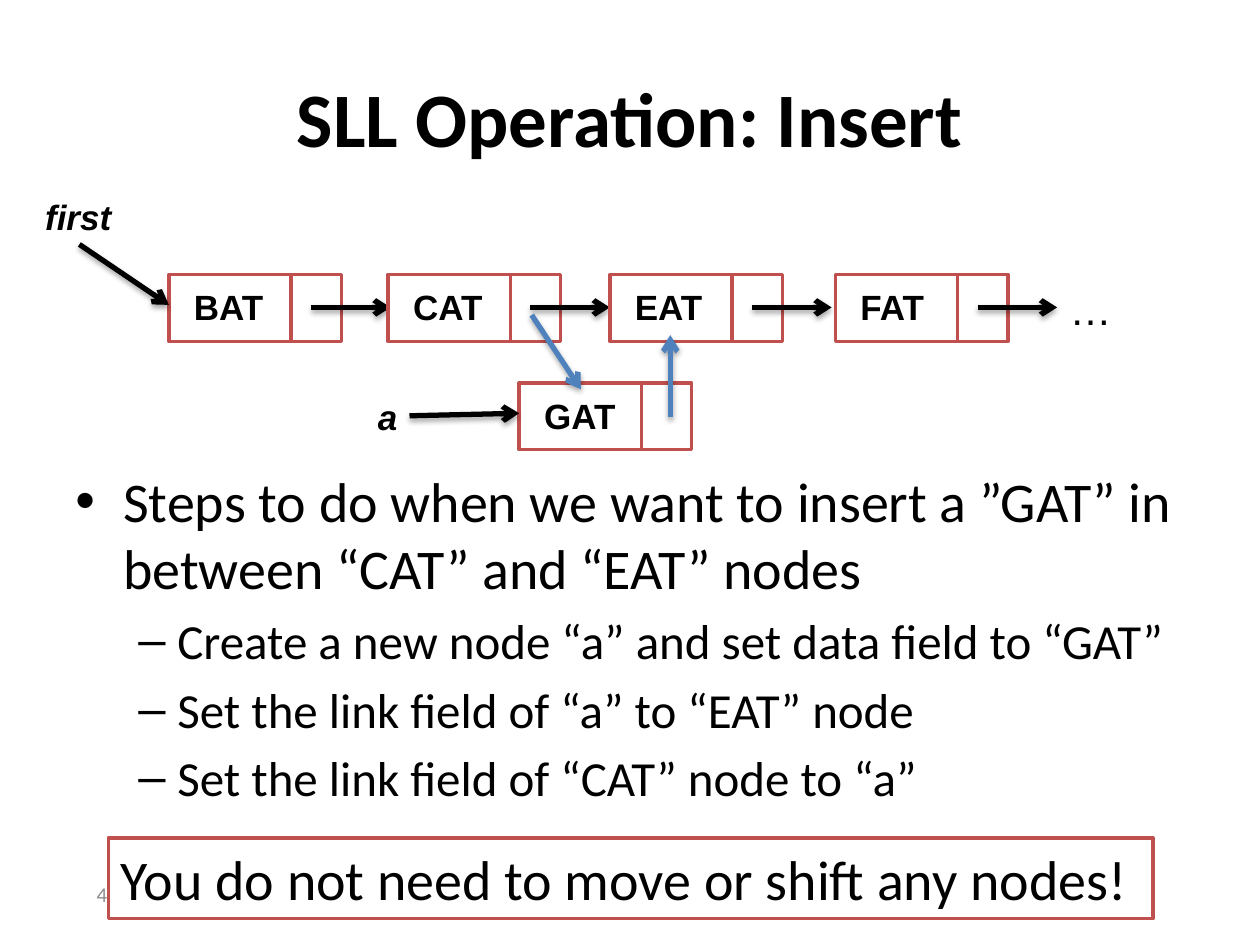
from lxml import etree
from pptx import Presentation
from pptx.dml.color import RGBColor
from pptx.enum.shapes import MSO_CONNECTOR, MSO_SHAPE
from pptx.enum.text import MSO_ANCHOR, PP_ALIGN
from pptx.oxml.ns import qn
from pptx.util import Pt

PX = 9144
BLACK = RGBColor(0x00, 0x00, 0x00)
WHITE = RGBColor(0xFF, 0xFF, 0xFF)
RED = RGBColor(0xC0, 0x50, 0x4D)
BLUE = RGBColor(0x4F, 0x81, 0xBD)
GRAY = RGBColor(0x8C, 0x8C, 0x8C)
LEFT, CENTER, RIGHT = PP_ALIGN.LEFT, PP_ALIGN.CENTER, PP_ALIGN.RIGHT
TOP, MIDDLE = MSO_ANCHOR.TOP, MSO_ANCHOR.MIDDLE
RECT = MSO_SHAPE.RECTANGLE
STRAIGHT = MSO_CONNECTOR.STRAIGHT

TITLE = "SLL Operation: Insert"
NODE_W, NODE_H, DATA_W = 137, 53, 97
LIST_Y = 218
NODES = [
    ("BAT", 134, LIST_Y, 76),
    ("CAT", 308, LIST_Y, 76),
    ("EAT", 484, LIST_Y, 74),
    ("FAT", 663, LIST_Y, 71),
    ("GAT", 412, 304, 77),
]
LINK_DX, LINK_DY, LINK_LEN = 113, 26, 63
LABELS = [
    ("…", 839, 220, 54, 50, 24, False),
    ("first", 26, 150, 73, 44, 20, True),
    ("a", 290, 309, 36, 44, 20, True),
]
ARROWS = [
    (63, 194, 134, 242, BLACK),
    (325, 330, 412, 328, BLACK),
    (532, 331, 532, 266, BLUE),
    (422, 250, 461, 309, BLUE),
]
BULLETS = [
    (0, "Steps to do when we want to insert a ”GAT” in between “CAT” and “EAT” nodes"),
    (1, "Create a new node “a” and set data field to “GAT”"),
    (1, "Set the link field of “a” to “EAT” node"),
    (1, "Set the link field of “CAT” node to “a”"),
]
LEVELS = [
    {"char": "•", "size": 32, "margin": 38, "hang": 38},
    {"char": "–", "size": 28, "margin": 81, "hang": 31},
]
NOTE = "You do not need to move or shift any nodes!"
PAGE = "4"


def px(*values):
    return [v * PX for v in values]


def add_run(p, text, size, font="Calibri", color=BLACK, bold=False, italic=False):
    r = p.add_run()
    r.text = text
    f = r.font
    f.size, f.name, f.bold, f.italic = Pt(size), font, bold, italic
    f.color.rgb = color


def add_text(slide, box, text, size, align=LEFT, anchor=TOP, wrap=False, **style):
    tf = slide.shapes.add_textbox(*px(*box)).text_frame
    tf.word_wrap = wrap
    tf.vertical_anchor = anchor
    p = tf.paragraphs[0]
    p.alignment = align
    add_run(p, text, size, **style)


def add_box(slide, *box):
    s = slide.shapes.add_shape(RECT, *px(*box))
    s.shadow.inherit = False
    s.fill.solid()
    s.fill.fore_color.rgb = WHITE
    s.line.color.rgb = RED
    s.line.width = Pt(2)
    return s


def add_line(slide, x1, y1, x2, y2, color, width):
    c = slide.shapes.add_connector(STRAIGHT, *px(x1, y1, x2, y2))
    c.line.color.rgb = color
    c.line.width = Pt(width)
    return c, etree.SubElement(c._element.spPr, qn("a:effectLst"))


def add_arrow(slide, x1, y1, x2, y2, color):
    c, effects = add_line(slide, x1, y1, x2, y2, color, 3)
    etree.SubElement(c.line._get_or_add_ln(), qn("a:tailEnd"), type="arrow")
    shadow = etree.SubElement(effects, qn("a:outerShdw"), blurRad="40000",
                              dist="23000", dir="5400000", rotWithShape="0")
    tint = etree.SubElement(shadow, qn("a:srgbClr"), val=str(BLACK))
    etree.SubElement(tint, qn("a:alpha"), val="35000")


def add_node(slide, name, x, y, text_w):
    add_box(slide, x, y, NODE_W, NODE_H)
    add_line(slide, x + DATA_W, y, x + DATA_W, y + NODE_H, RED, 2)
    add_text(slide, (x + 10, y + 4, text_w, 44), name, 20, font="Arial", bold=True)
    if y == LIST_Y:
        start, mid = x + LINK_DX, y + LINK_DY
        add_arrow(slide, start, mid, start + LINK_LEN, mid, BLACK)


def add_bullets(slide):
    tf = slide.shapes.add_textbox(*px(50, 365, 900, 305)).text_frame
    tf.word_wrap = True
    for i, (level, text) in enumerate(BULLETS):
        look = LEVELS[level]
        p = tf.paragraphs[0] if i == 0 else tf.add_paragraph()
        p.level = level
        p.space_before = Pt(look["size"] * 0.2 if i else 0)
        pPr = p._p.get_or_add_pPr()
        pPr.set("marL", str(look["margin"] * PX))
        pPr.set("indent", str(-look["hang"] * PX))
        etree.SubElement(pPr, qn("a:buFont"), typeface="Arial")
        etree.SubElement(pPr, qn("a:buChar"), char=look["char"])
        add_run(p, text, look["size"])


def main():
    prs = Presentation()
    prs.slide_width, prs.slide_height = px(1000, 750)
    slide = prs.slides.add_slide(prs.slide_layouts[6])

    add_text(slide, (50, 30, 900, 125), TITLE, 44, CENTER, MIDDLE, True, bold=True)
    add_bullets(slide)
    for node in NODES:
        add_node(slide, *node)
    for text, x, y, w, h, size, strong in LABELS:
        add_text(slide, (x, y, w, h), text, size, font="Arial", bold=strong, italic=strong)
    for arrow in ARROWS:
        add_arrow(slide, *arrow)

    tf = add_box(slide, 86, 665, 829, 64).text_frame
    tf.word_wrap = False
    tf.vertical_anchor = TOP
    tf.paragraphs[0].alignment = LEFT
    add_run(tf.paragraphs[0], NOTE, 32)
    add_text(slide, (50, 690, 45, 40), PAGE, 12, RIGHT, MIDDLE, True, color=GRAY)

    prs.save("out.pptx")


if __name__ == "__main__":
    main()
